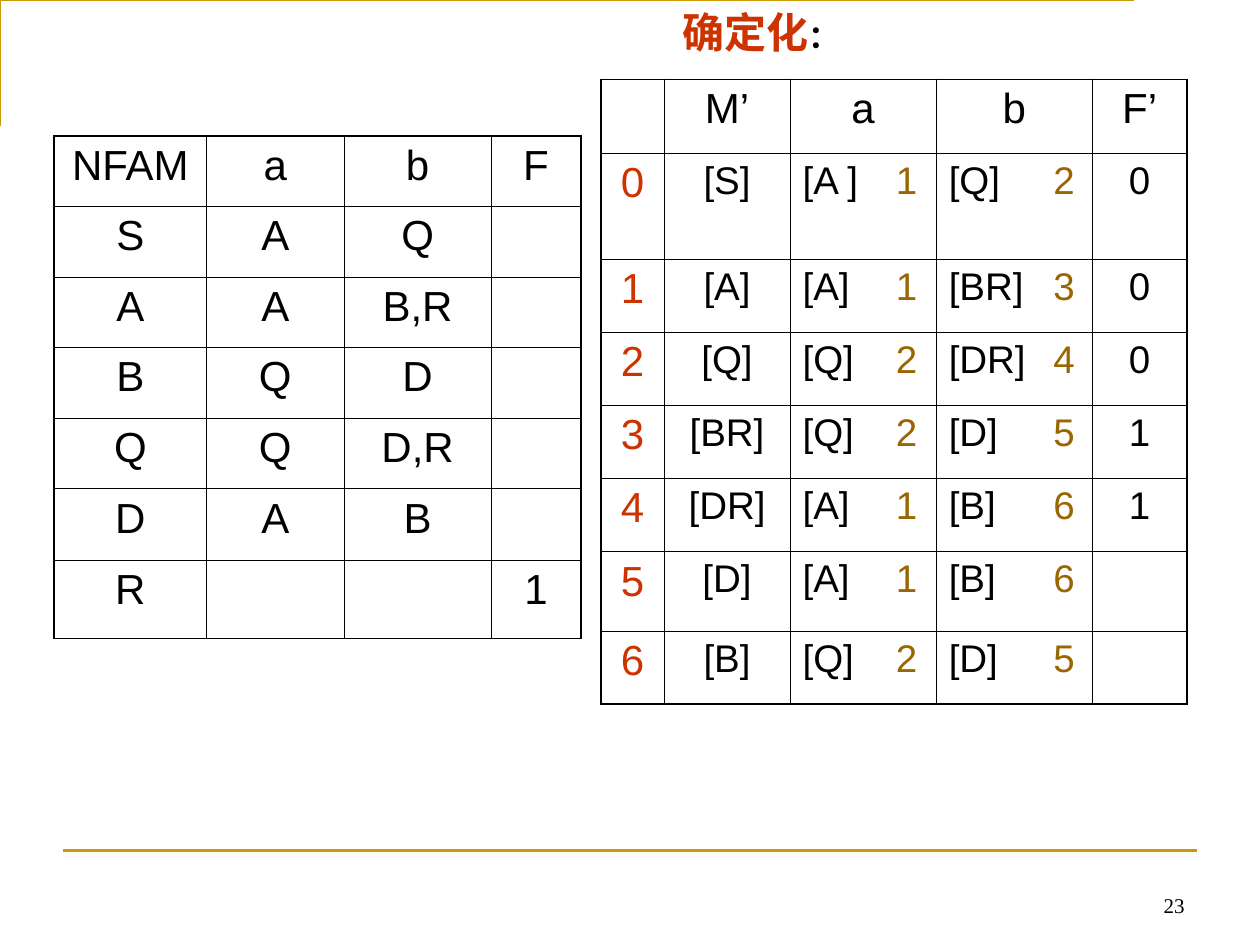
from lxml.etree import SubElement
from pptx import Presentation
from pptx.dml.color import RGBColor as RGB
from pptx.enum.shapes import MSO_CONNECTOR as CONN
from pptx.enum.text import MSO_ANCHOR as ANCHOR, PP_ALIGN as ALIGN
from pptx.oxml.ns import qn
from pptx.util import Inches, Pt

COLORS = {"text": "000000", "red": "CC3300", "brown": "996600", "gold": "CC9900"}
W, H = 10, 7.5
THIN, THICK = 0.45, 1.08

NFA = {
    "at": (0.043, 0.144),
    "cols": [1.21, 1.09, 1.17, 0.71],
    "rows": [0.56] * 5 + [0.57, 0.62],
    "bottom": THIN,
    "cells": [
        ("NFAM", "a", "b", "F"),
        ("S", "A", "Q", ""),
        ("A", "A", "B,R", ""),
        ("B", "Q", "D", ""),
        ("Q", "Q", "D,R", ""),
        ("D", "A", "B", ""),
        ("R", "", "", "1"),
    ],
}
DFA = {
    "at": (0.477, 0.084),
    "cols": [0.5, 1, 1.16, 1.24, 0.75],
    "rows": [0.59, 0.84] + [0.58] * 4 + [0.63, 0.58],
    "bottom": THICK,
    "cells": [
        ("", "M’", "a", "b", "F’"),
        ("0", "[S]", ("[A ]", "1"), ("[Q]", "2"), "0"),
        ("1", "[A]", ("[A]", "1"), ("[BR]", "3"), "0"),
        ("2", "[Q]", ("[Q]", "2"), ("[DR]", "4"), "0"),
        ("3", "[BR]", ("[Q]", "2"), ("[D]", "5"), "1"),
        ("4", "[DR]", ("[A]", "1"), ("[B]", "6"), "1"),
        ("5", "[D]", ("[A]", "1"), ("[B]", "6"), ""),
        ("6", "[B]", ("[Q]", "2"), ("[D]", "5"), ""),
    ],
}
DFA_TABS = {2: 0.74, 3: 0.83}


def write(tf, *runs, size=24, font="Arial", bold=False, align=ALIGN.LEFT, before=0, tab=None):
    p = tf.paragraphs[0]
    p.alignment = align
    p.space_before = Pt(before)
    if tab:
        tabs = SubElement(p._p.get_or_add_pPr(), qn("a:tabLst"))
        SubElement(tabs, qn("a:tab"), pos=str(Inches(tab)), algn="l")
    for text, color, *own_size in runs:
        r = p.add_run()
        r.text = text
        r.font.size = Pt(own_size[0] if own_size else size)
        r.font.name = font
        r.font.bold = bold
        r.font.color.rgb = RGB.from_string(COLORS[color])


def add_box(slide, x, y, w, h):
    return slide.shapes.add_textbox(
        Inches(x * W), Inches(y * H), Inches(w * W), Inches(h * H)
    ).text_frame


def style_line(sp):
    sp.line.color.rgb = RGB.from_string(COLORS["gold"])
    sp.line.width = Pt(1.5)


def set_borders(cell, widths):
    tc_pr = cell._tc.get_or_add_tcPr()
    for side, width in widths.items():
        ln = SubElement(tc_pr, qn(f"a:ln{side}"), w=str(Pt(width)))
        fill = SubElement(ln, qn("a:solidFill"))
        SubElement(fill, qn("a:srgbClr"), val=COLORS["text"])


def add_grid(slide, data, write_cell):
    cols, rows = data["cols"], data["rows"]
    x, y = data["at"]
    table = slide.shapes.add_table(
        len(rows), len(cols), Inches(x * W), Inches(y * H), Inches(sum(cols)), Inches(sum(rows))
    ).table
    table.first_row = table.horz_banding = False
    for col, width in zip(table.columns, cols):
        col.width = Inches(width)
    for row, height in zip(table.rows, rows):
        row.height = Inches(height)
    for i, values in enumerate(data["cells"]):
        for j, value in enumerate(values):
            cell = table.cell(i, j)
            set_borders(cell, {
                "L": THIN if j else THICK,
                "R": THICK if j == len(cols) - 1 else THIN,
                "T": THIN if i else THICK,
                "B": data["bottom"] if i == len(rows) - 1 else THIN,
            })
            cell.fill.background()
            if value:
                write_cell(cell.text_frame, value, i, j)


def write_nfa(tf, value, i, j):
    write(tf, (value, "text"), align=ALIGN.CENTER, before=6)


def write_dfa(tf, value, i, j):
    if isinstance(value, tuple):
        target, state = value
        write(tf, (target + "\t", "text"), (state, "brown"),
              size=22, before=5.5, tab=DFA_TABS[j])
    elif i == 0 or j == 0:
        write(tf, (value, "red" if i else "text"), align=ALIGN.CENTER, before=6)
    else:
        write(tf, (value, "text"), size=22, align=ALIGN.CENTER, before=5.5)


def main():
    prs = Presentation()
    prs.slide_width, prs.slide_height = Inches(W), Inches(H)
    slide = prs.slides.add_slide(prs.slide_layouts[6])

    left, top = 0.42, 0.25
    builder = slide.shapes.build_freeform(left, top + 0.67, scale=Inches(1))
    builder.add_line_segments([(left, top), (left + 9, top)], close=False)
    corner = builder.convert_to_shape()
    corner.fill.background()
    corner.shadow.inherit = False
    style_line(corner)

    footer = slide.shapes.add_connector(
        CONN.STRAIGHT, Inches(0.05 * W), Inches(0.9 * H), Inches(0.95 * W), Inches(0.9 * H)
    )
    SubElement(footer._element.spPr, qn("a:effectLst"))
    style_line(footer)

    number = add_box(slide, 0.717, 0.911, 0.233, 0.067)
    number.word_wrap = True
    number.vertical_anchor = ANCHOR.BOTTOM
    write(number, ("23", "text"), size=12, font="Times New Roman", align=ALIGN.RIGHT)

    add_grid(slide, DFA, write_dfa)
    title = add_box(slide, 0.532, 0, 0.145, 0.067)
    title.word_wrap = False
    write(title, ("确定化", "red"), ("：", "text", 18), bold=True)
    add_grid(slide, NFA, write_nfa)

    prs.save("out.pptx")


if __name__ == "__main__":
    main()
